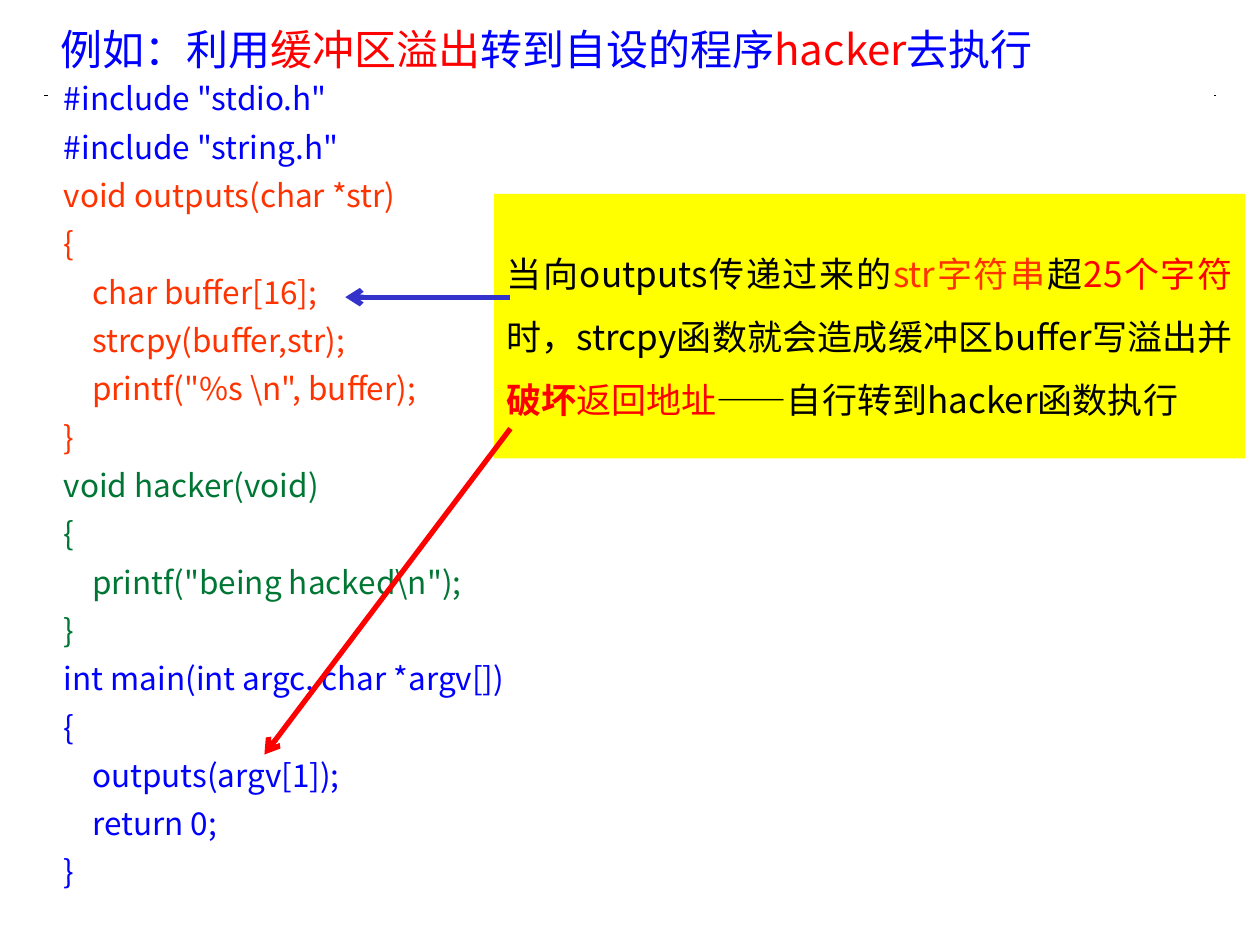
from dataclasses import dataclass
from typing import NamedTuple

from lxml import etree
from pptx import Presentation
from pptx.dml.color import RGBColor
from pptx.enum.shapes import MSO_CONNECTOR, MSO_SHAPE
from pptx.enum.text import MSO_ANCHOR, MSO_AUTO_SIZE, PP_ALIGN
from pptx.oxml.ns import qn
from pptx.util import Cm, Pt

STRAIGHT = MSO_CONNECTOR.STRAIGHT
RECTANGLE = MSO_SHAPE.RECTANGLE
TOP, MIDDLE = MSO_ANCHOR.TOP, MSO_ANCHOR.MIDDLE
LEFT, JUSTIFY = PP_ALIGN.LEFT, PP_ALIGN.JUSTIFY
FIXED_SIZE = MSO_AUTO_SIZE.NONE
TITLE_ONLY = 5


@dataclass(frozen=True)
class Theme:
    font: str = "Noto Sans CJK SC"
    black: str = "000000"
    white: str = "FFFFFF"
    yellow: str = "FFFF00"
    blue: str = "0000FF"
    red: str = "FF0000"
    orange: str = "FF3300"
    green: str = "007635"
    indigo: str = "3333CC"
    title_size: int = 24
    callout_size: int = 20
    code_size: int = 18


class Span(NamedTuple):
    text: str
    color: str
    bold: bool = False


class Area(NamedTuple):
    left: float
    top: float
    width: float
    height: float


class Line(NamedTuple):
    start: tuple[float, float]
    end: tuple[float, float]
    color: str
    width: float
    arrow: bool = True


class CodeBlock(NamedTuple):
    color: str
    source: str


THEME = Theme()

TITLE_AREA = Area(0.97, 0.2, 23.5, 2.59)
CALLOUT_AREA = Area(9.96, 3.91, 15.14, 5.33)
CODE_AREA = Area(1.04, 1.47, 9.53, 16.61)

RULE = Line((0.89, 1.93), (24.51, 1.93), THEME.black, 0.75, arrow=False)
ARROWS = [
    Line((10.29, 8.64), (5.33, 15.21), THEME.red, 3),
    Line((10.29, 5.99), (6.96, 5.99), THEME.indigo, 3),
]

TITLE = [
    Span("例如：利用", THEME.blue),
    Span("缓冲区溢出", THEME.red),
    Span("转到自设的程序", THEME.blue),
    Span("hacker", THEME.red),
    Span("去执行", THEME.blue),
]

CALLOUT = [
    Span("当向outputs传递过来的", THEME.black),
    Span("str字符串", THEME.orange),
    Span("超", THEME.black),
    Span("25个字符", THEME.red),
    Span("时，strcpy函数就会造成缓冲区buffer写溢出并", THEME.black),
    Span("破坏", THEME.red, bold=True),
    Span("返回地址", THEME.red),
    Span("——自行转到hacker函数执行", THEME.black),
]

CODE = [
    CodeBlock(THEME.blue, '''#include "stdio.h"
#include "string.h"'''),
    CodeBlock(THEME.orange, r'''void outputs(char *str)
{
    char buffer[16];
    strcpy(buffer,str);
    printf("%s \n", buffer);
}'''),
    CodeBlock(THEME.green, r'''void hacker(void)
{
    printf("being hacked\n");
}'''),
    CodeBlock(THEME.blue, '''int main(int argc, char *argv[])
{
    outputs(argv[1]);
    return 0;
}'''),
]


def apply(target, formats: dict) -> None:
    for name, value in formats.items():
        setattr(target, name, value)


def place(shape, area: Area) -> None:
    apply(shape, {name: Cm(value) for name, value in area._asdict().items()})


def fill(shape, color: str) -> None:
    shape.fill.solid()
    shape.fill.fore_color.rgb = RGBColor.from_string(color)


def format_frame(frame, anchor, wrap: bool = True) -> None:
    apply(frame, {
        "word_wrap": wrap,
        "auto_size": FIXED_SIZE,
        "vertical_anchor": anchor,
        "margin_left": Cm(0.25),
        "margin_right": Cm(0.25),
        "margin_top": Cm(0.13),
        "margin_bottom": Cm(0.13),
    })


def write_spans(para, spans: list[Span], size: int, formats: dict) -> None:
    apply(para, formats)
    for span in spans:
        run = para.add_run()
        run.text = span.text
        apply(run.font, {"name": THEME.font, "size": Pt(size), "bold": span.bold})
        run.font.color.rgb = RGBColor.from_string(span.color)
        east_asian = etree.SubElement(run._r.get_or_add_rPr(), qn("a:ea"))
        east_asian.set("typeface", THEME.font)


def draw_line(page, line: Line):
    ends = [Cm(value) for value in (*line.start, *line.end)]
    connector = page.shapes.add_connector(STRAIGHT, *ends)
    connector.line.width = Pt(line.width)
    connector.line.color.rgb = RGBColor.from_string(line.color)
    if line.arrow:
        tail = etree.SubElement(connector.line._get_or_add_ln(), qn("a:tailEnd"))
        tail.set("type", "arrow")
    etree.SubElement(connector.element.spPr, qn("a:effectLst"))
    return connector


def draw_title(page) -> None:
    title = page.shapes.title
    place(title, TITLE_AREA)
    fill(title, THEME.white)
    format_frame(title.text_frame, TOP)
    write_spans(title.text_frame.paragraphs[0], TITLE, THEME.title_size,
                {"alignment": LEFT, "line_spacing": 1.15})
    title.element.addprevious(draw_line(page, RULE).element)


def draw_callout(page) -> None:
    box = page.shapes.add_shape(RECTANGLE, 0, 0, 0, 0)
    place(box, CALLOUT_AREA)
    box.shadow.inherit = False
    fill(box, THEME.yellow)
    box.line.fill.background()
    format_frame(box.text_frame, MIDDLE)
    write_spans(box.text_frame.paragraphs[0], CALLOUT, THEME.callout_size,
                {"alignment": JUSTIFY, "line_spacing": 1.5})


def draw_code(page) -> None:
    box = page.shapes.add_textbox(0, 0, 0, 0)
    place(box, CODE_AREA)
    frame = box.text_frame
    format_frame(frame, MIDDLE, wrap=False)
    spans = [Span(text, block.color) for block in CODE for text in block.source.splitlines()]
    for index, span in enumerate(spans):
        para = frame.add_paragraph() if index else frame.paragraphs[0]
        write_spans(para, [span], THEME.code_size,
                    {"alignment": LEFT, "space_before": Pt(6 if index else 0)})


def main() -> None:
    deck = Presentation()
    apply(deck, {"slide_width": Cm(25.4), "slide_height": Cm(19.05)})
    page = deck.slides.add_slide(deck.slide_layouts[TITLE_ONLY])
    draw_title(page)
    draw_callout(page)
    draw_code(page)
    for arrow in ARROWS:
        draw_line(page, arrow)
    deck.save("out.pptx")


if __name__ == "__main__":
    main()
